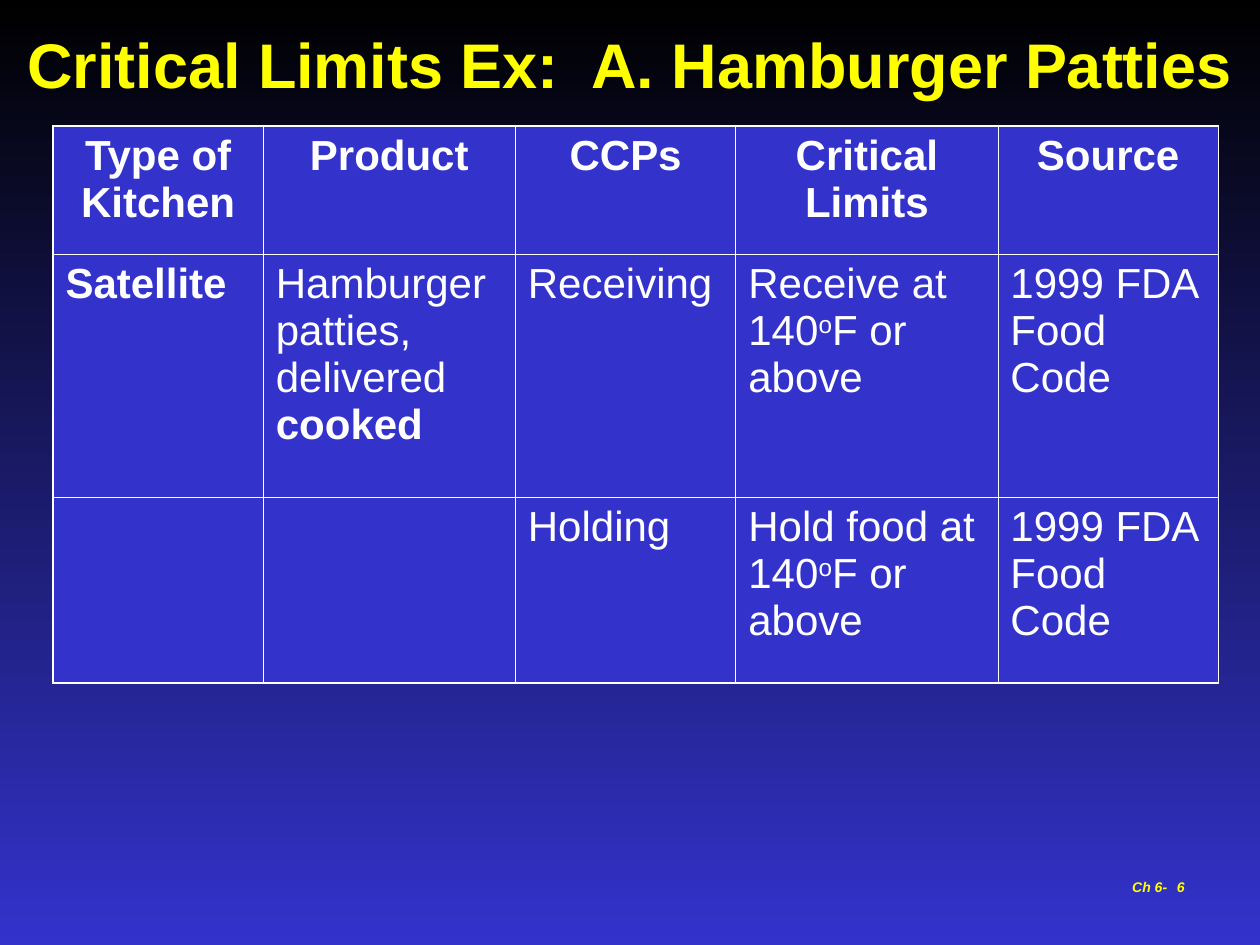
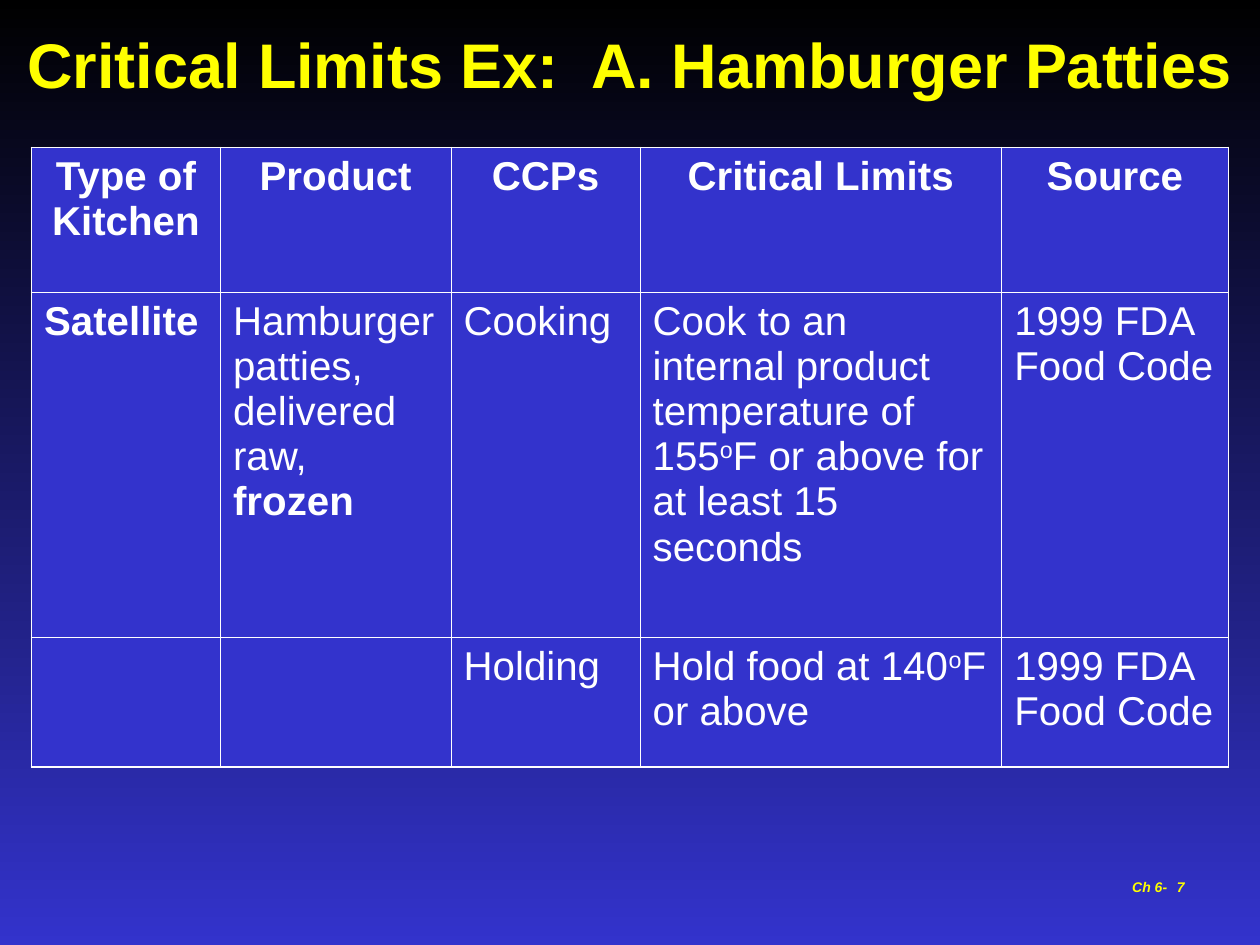
import dataclasses
import typing

import pptx
import pptx.dml.color
import pptx.enum.text
import pptx.oxml
import pptx.oxml.ns
import pptx.util

Inches = pptx.util.Inches
Pt = pptx.util.Pt
Color = pptx.dml.color.RGBColor
Align = pptx.enum.text.PP_ALIGN
Anchor = pptx.enum.text.MSO_ANCHOR

# Shared look
FONT = "Arial"
BLACK = Color(0x00, 0x00, 0x00)
BLUE = Color(0x33, 0x33, 0xCC)
YELLOW = Color(0xFF, 0xFF, 0x00)
WHITE = Color(0xFF, 0xFF, 0xFF)
THIN, THICK = Pt(0.45), Pt(1.08)
TITLE = "Critical Limits Ex:  A. Hamburger Patties"
HEADS = ("Type of Kitchen", "Product", "CCPs", "Critical Limits", "Source")


class Part(typing.NamedTuple):
    text: str
    bold: bool = False
    raised: bool = False


Cell = tuple[Part, ...]


@dataclasses.dataclass
class Label:
    left: float
    top: float
    width: float
    height: float
    size: float
    align: Align
    anchor: Anchor = Anchor.TOP
    italic: bool = False


@dataclasses.dataclass
class Page:
    number: int
    left: float
    top: float
    size: float
    cols: tuple[float, ...]
    rows: tuple[float, ...]
    body: list[list[Cell]]


HEADING = Label(0, 0, 10, 1, 36, Align.CENTER, Anchor.MIDDLE)
CHAPTER = Label(8.75, 6.92, 0.75, 0.25, 8, Align.CENTER, italic=True)
NUMBER = Label(7.25, 6.92, 2.25, 0.5, 8, Align.RIGHT, italic=True)


def plain(text: str) -> Cell:
    return (Part(text),)


def degrees(before: str, after: str) -> Cell:
    return Part(before), Part("o", raised=True), Part(after)


KITCHEN: Cell = (Part("Satellite", bold=True),)
SOURCE = plain("1999 FDA Food Code")
HOLDING: list[Cell] = [(), (), plain("Holding"),
                       degrees("Hold food at 140", "F or above"), SOURCE]

PAGES = [
    Page(6, 0.42, 1, 24, (1.67, 2, 1.75, 2.08, 1.75), (1.02, 1.93, 1.47), [
        [KITCHEN,
         (Part("Hamburger patties, delivered "), Part("cooked", bold=True)),
         plain("Receiving"),
         degrees("Receive at 140", "F or above"),
         SOURCE],
        HOLDING,
    ]),
    Page(7, 0.25, 1.17, 23, (1.5, 1.83, 1.5, 2.87, 1.8), (1.15, 2.74, 1.03), [
        [KITCHEN,
         (Part("Hamburger patties, delivered raw,"), Part(" frozen", bold=True)),
         plain("Cooking"),
         degrees("Cook to an internal product temperature of 155",
                 "F or above for at least 15 seconds"),
         SOURCE],
        HOLDING,
    ]),
]


def style(font, size: float, color: Color, bold: bool, italic: bool = False) -> None:
    font.name = FONT
    font.size = Pt(size)
    font.color.rgb = color
    font.bold = bold
    font.italic = italic


def paint(slide) -> None:
    """Fill the background from black at the top to blue."""
    fill = slide.background.fill
    fill.gradient()
    fill.gradient_angle = 270
    for stop, place, color in zip(fill.gradient_stops, (0, 1), (BLACK, BLUE)):
        stop.position = place
        stop.color.rgb = color


def write(slide, label: Label, text: str) -> None:
    box = slide.shapes.add_textbox(Inches(label.left), Inches(label.top),
                                   Inches(label.width), Inches(label.height))
    frame = box.text_frame
    frame.word_wrap = True
    frame.vertical_anchor = label.anchor
    frame.text = text
    para = frame.paragraphs[0]
    para.alignment = label.align
    style(para.runs[0].font, label.size, YELLOW, True, label.italic)


def border(cell, widths: dict[str, int]) -> None:
    """Draw the cell's lines; they must stand before its fill."""
    props = cell._tc.get_or_add_tcPr()
    for spot, (side, width) in enumerate(widths.items()):
        line = pptx.oxml.parse_xml(
            f'<a:ln{side} {pptx.oxml.ns.nsdecls("a")} w="{width}">'
            f'<a:solidFill><a:srgbClr val="{WHITE}"/></a:solidFill></a:ln{side}>')
        props.insert(spot, line)


def fill_cell(cell, parts: Cell, size: float, align: Align) -> None:
    cell.fill.solid()
    cell.fill.fore_color.rgb = BLUE
    para = cell.text_frame.paragraphs[0]
    para.alignment = align
    for part in parts:
        run = para.add_run()
        run.text = part.text
        style(run.font, size, WHITE, part.bold)
        if part.raised:
            run.font._element.set("baseline", "30000")


def add_grid(slide, page: Page) -> None:
    heads: list[Cell] = [(Part(head, bold=True),) for head in HEADS]
    cells = [heads, *page.body]
    last_row, last_col = len(page.rows) - 1, len(page.cols) - 1
    table = slide.shapes.add_table(
        len(page.rows), len(page.cols), Inches(page.left), Inches(page.top),
        Inches(sum(page.cols)), Inches(sum(page.rows))).table
    for col, width in zip(table.columns, page.cols):
        col.width = Inches(width)
    for row, height in zip(table.rows, page.rows):
        row.height = Inches(height)
    for r, line in enumerate(cells):
        for c, parts in enumerate(line):
            cell = table.cell(r, c)
            fill_cell(cell, parts, page.size, Align.LEFT if r else Align.CENTER)
            border(cell, {"L": THIN if c else THICK,
                          "R": THICK if c == last_col else THIN,
                          "T": THIN if r else THICK,
                          "B": THICK if r == last_row else THIN})


def main() -> None:
    deck = pptx.Presentation()
    deck.slide_width, deck.slide_height = Inches(10), Inches(7.5)
    for page in PAGES:
        slide = deck.slides.add_slide(deck.slide_layouts[6])
        paint(slide)
        write(slide, HEADING, TITLE)
        add_grid(slide, page)
        # Footer
        write(slide, CHAPTER, "Ch 6-")
        write(slide, NUMBER, str(page.number))
    deck.save("out.pptx")


if __name__ == "__main__":
    main()
